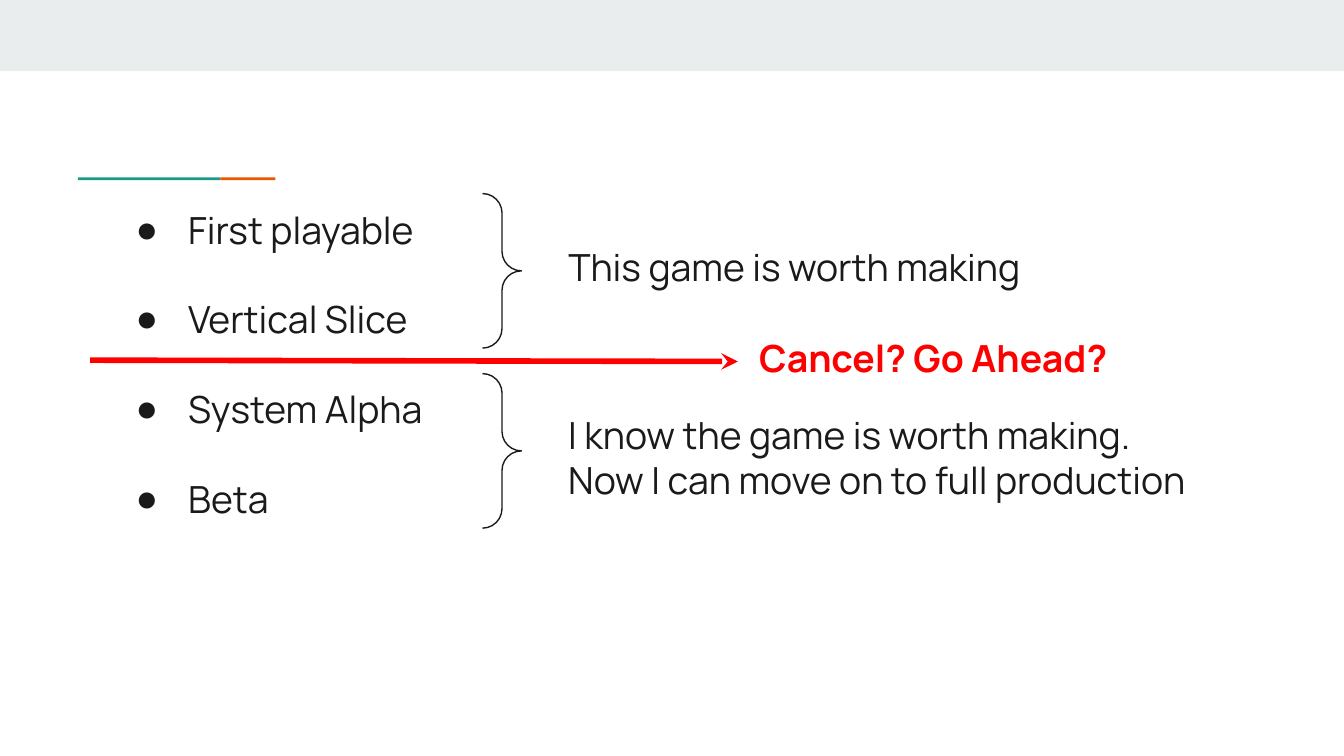
import pptx
import pptx.util
import pptx.dml.color
import pptx.enum.shapes
import pptx.enum.text
import pptx.oxml
import pptx.oxml.ns
from lxml import etree

Inches = pptx.util.Inches
Pt = pptx.util.Pt
RGBColor = pptx.dml.color.RGBColor
Shape = pptx.enum.shapes.MSO_SHAPE

INK = RGBColor(0x1A, 0x1A, 0x1A)
RED = RGBColor(0xFF, 0x00, 0x00)
TEAL = RGBColor(0x1A, 0x99, 0x88)
ORANGE = RGBColor(0xEB, 0x56, 0x00)
PALE = RGBColor(0xE9, 0xED, 0xEE)
FONT = "Manrope"
BULLET_FONT = "Arial"
SIZE = Pt(20)

MILESTONES = ["First playable", "Vertical Slice", "System Alpha", "Beta"]
# left, top, width, height, lines, colour, bold
NOTES = [
    (4.13, 1.72, 3.82, 0.59, ["This game is worth making"], INK, False),
    (4.13, 2.97, 5.2, 0.59,
     ["I know the game is worth making.", "Now I can move on to full production"], INK, False),
    (5.55, 2.39, 3.82, 0.59, ["Cancel? Go Ahead?"], RED, True),
]
# left, top, width, height, colour
BARS = [
    (0, 0, 10, 0.53, PALE),
    (0.58, 1.32, 1.06, 0.02, TEAL),
    (1.64, 1.32, 0.41, 0.02, ORANGE),
]
BRACE_TOPS = [1.44, 2.78]


def add_child(parent, tag, **attributes):
    child = etree.SubElement(parent, pptx.oxml.ns.qn(tag))
    for name, value in attributes.items():
        child.set(name, str(value))
    return child


def add_bullet(para):
    properties = para._p.get_or_add_pPr()
    properties.set("marL", str(Inches(0.5)))
    properties.set("indent", str(Inches(-0.39)))
    colour = add_child(properties, "a:buClr")
    add_child(colour, "a:srgbClr", val=INK)
    add_child(properties, "a:buFont", typeface=BULLET_FONT)
    add_child(properties, "a:buChar", char="●")


def fill_text(box, lines, colour, bold=False, bullets=False):
    frame = box.text_frame
    frame.word_wrap = True
    frame.auto_size = pptx.enum.text.MSO_AUTO_SIZE.NONE
    frame.vertical_anchor = pptx.enum.text.MSO_ANCHOR.TOP
    frame.margin_left = frame.margin_right = Inches(0.1)
    frame.margin_top = frame.margin_bottom = Inches(0.1)
    for index, line in enumerate(lines):
        para = frame.add_paragraph() if index else frame.paragraphs[0]
        para.alignment = pptx.enum.text.PP_ALIGN.LEFT
        if bullets:
            if index:
                para.space_before = Pt(24)
            add_bullet(para)
        span = para.add_run()
        span.text = line
        span.font.name = FONT
        span.font.size = SIZE
        span.font.bold = bold
        span.font.color.rgb = colour


deck = pptx.Presentation()
deck.slide_width = Inches(10)
deck.slide_height = deck.slide_width * 9 // 16
slide = deck.slides.add_slide(deck.slide_layouts[5])
shapes = slide.shapes

for left, top, width, height, colour in BARS:
    bar = shapes.add_shape(Shape.RECTANGLE, Inches(left), Inches(top), Inches(width), Inches(height))
    bar.shadow.inherit = False
    bar.fill.solid()
    bar.fill.fore_color.rgb = colour
    bar.line.fill.background()

title = shapes.title
title.left, title.top = Inches(0.8), Inches(1.44)
title.width, title.height = Inches(2.79), Inches(3.5)
fill_text(title, MILESTONES, INK, bullets=True)

for top in BRACE_TOPS:
    brace = shapes.add_shape(Shape.RIGHT_BRACE, Inches(3.59), Inches(top), Inches(0.29), Inches(1.15))
    brace.adjustments[0] = 0.5
    brace.adjustments[1] = 0.5
    brace.shadow.inherit = False
    brace.fill.background()
    brace.line.color.rgb = INK
    brace.line.width = Pt(0.75)

arrow = shapes.add_connector(pptx.enum.shapes.MSO_CONNECTOR.STRAIGHT,
                             Inches(0.67), Inches(2.68), Inches(5.49), Inches(2.69))
arrow.line.color.rgb = RED
arrow.line.width = Pt(3)
add_child(arrow.line._get_or_add_ln(), "a:tailEnd", type="stealth")
add_child(arrow._element.spPr, "a:effectLst")

for left, top, width, height, lines, colour, bold in NOTES:
    note = shapes.add_textbox(Inches(left), Inches(top), Inches(width), Inches(height))
    fill_text(note, lines, colour, bold)

deck.save("out.pptx")
